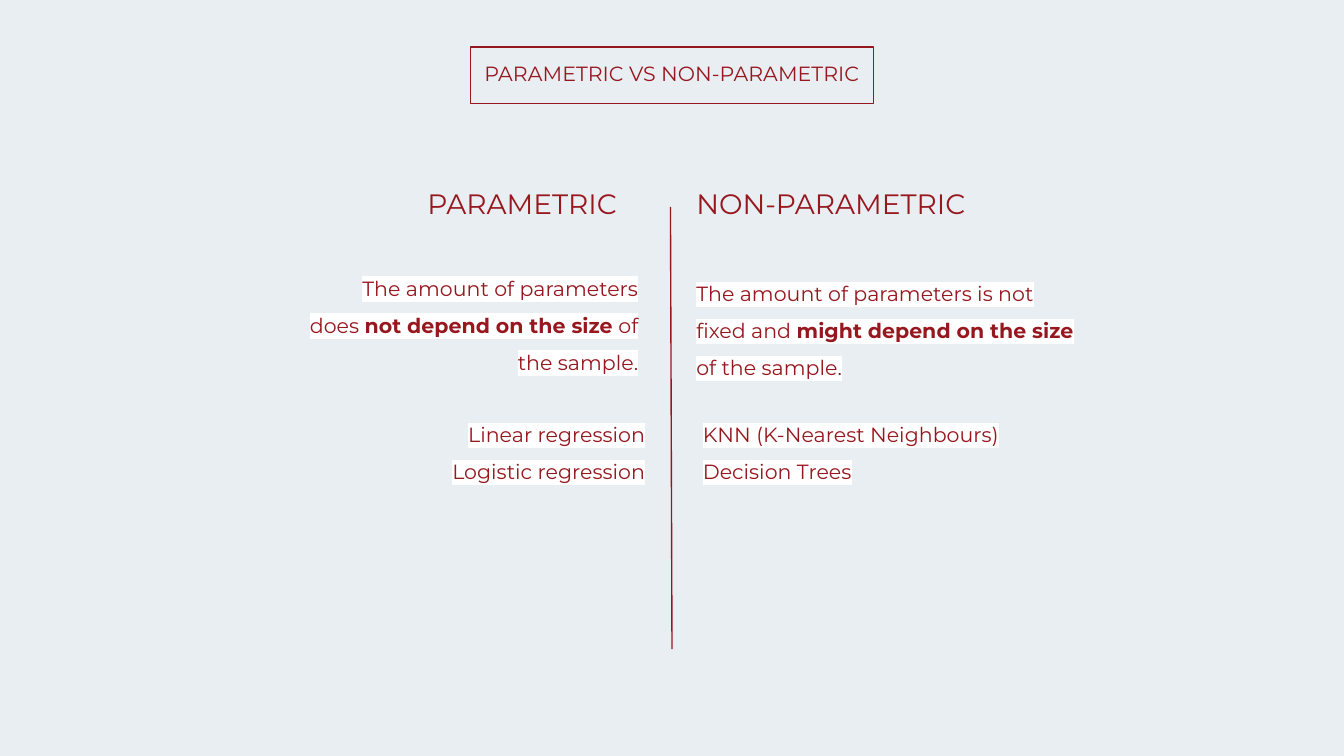
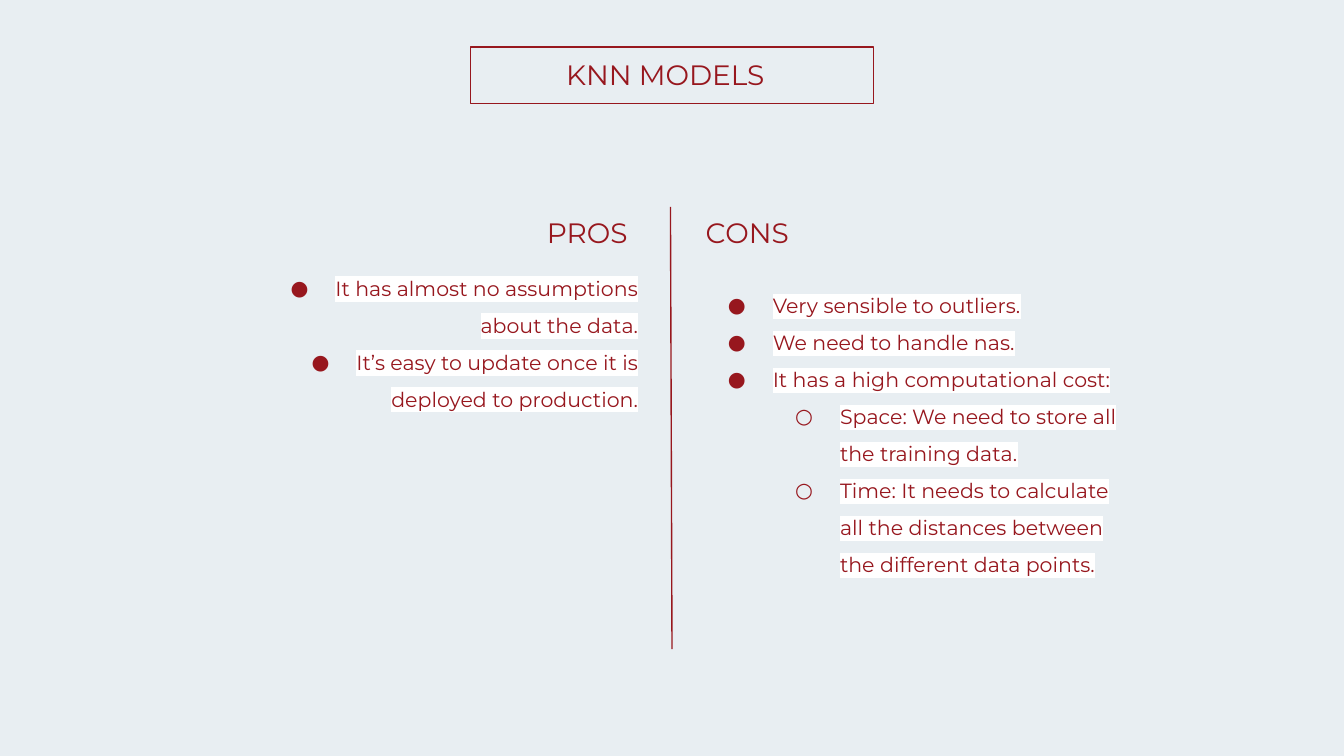
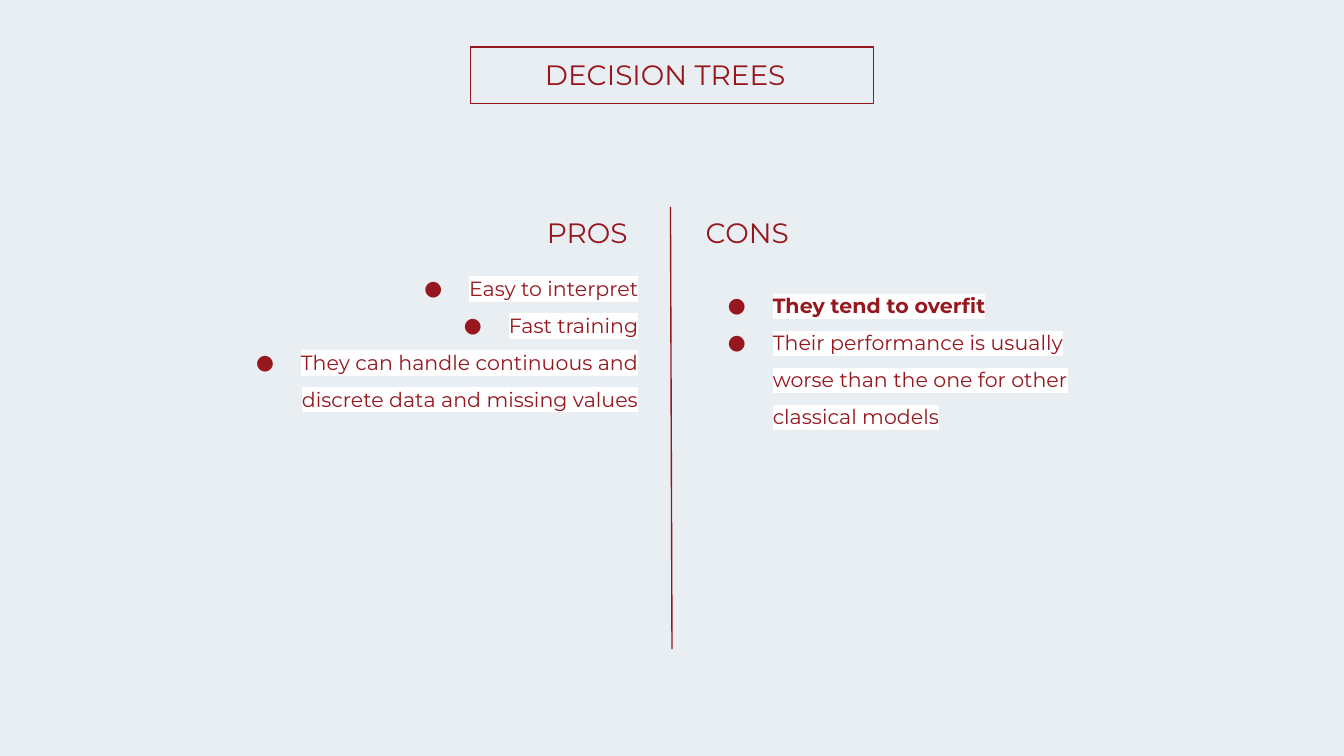
"""Build three slides that compare families of models in two columns."""
from dataclasses import dataclass

from lxml.etree import SubElement
from pptx import Presentation
from pptx.dml.color import RGBColor as Color
from pptx.enum.shapes import MSO_CONNECTOR as Connector, MSO_SHAPE as Preset
from pptx.enum.text import MSO_ANCHOR as Anchor, MSO_AUTO_SIZE as AutoSize, PP_ALIGN as Align
from pptx.oxml.ns import qn
from pptx.util import Pt


@dataclass(frozen=True)
class Theme:
    font: str = "Montserrat"
    red: str = "97171E"
    background: str = "E8EEF2"
    highlight: str = "FFFFFF"
    heading_size: int = 15
    body_size: int = 11
    line_width: float = 0.75
    inset: float = 7.2
    line_spacing: float = 1.5
    bullets: tuple = ("●", "○")
    indent: int = 36
    hanging: int = 24


@dataclass(frozen=True)
class Item:
    text: str
    level: int = 0


def apply_format(target, values):
    for name, value in values.items():
        setattr(target, name, value)


class Deck:
    def __init__(self, theme):
        self.theme = theme
        self.red = Color.from_string(theme.red)
        self.presentation = Presentation()
        apply_format(self.presentation, {"slide_width": Pt(720), "slide_height": Pt(405)})
        fill = self.presentation.slide_master.background.fill
        fill.solid()
        fill.fore_color.rgb = Color.from_string(theme.background)
        self.slide = None

    def new_slide(self, title, box, size):
        layout = self.presentation.slide_layouts.get_by_name("Comparison")
        self.slide = self.presentation.slides.add_slide(layout)
        self.frame()
        self.divider()
        self.placeholder(0, box, [Item(title)], size=size, align=Align.CENTER)

    def frame(self):
        shape = self.slide.shapes.add_shape(Preset.RECTANGLE, Pt(252), Pt(25.2), Pt(216), Pt(30.2))
        shape.shadow.inherit = False
        shape.fill.background()
        self.outline(shape.line)

    def divider(self):
        line = self.slide.shapes.add_connector(
            Connector.STRAIGHT, Pt(359.2), Pt(110.9), Pt(360), Pt(347.8))
        SubElement(line._element.spPr, qn("a:effectLst"))
        self.outline(line.line)

    def outline(self, line):
        line.color.rgb = self.red
        line.width = Pt(self.theme.line_width)

    def placeholder(self, index, box, items, **style):
        shape = self.slide.placeholders[index]
        apply_format(shape, dict(zip(("left", "top", "width", "height"), map(Pt, box))))
        self.fill_text(shape.text_frame, items, **style)

    def text_box(self, box, items, **style):
        shape = self.slide.shapes.add_textbox(*map(Pt, box))
        self.fill_text(shape.text_frame, items, **style)

    def heading(self, index, text, left, top):
        self.placeholder(index, (left, top, 371.5, 32.4), [Item(text)],
                         size=self.theme.heading_size)

    def body_style(self, align, bulleted=False):
        return {"size": self.theme.body_size, "align": align, "bulleted": bulleted,
                "spacing": self.theme.line_spacing, "highlighted": True}

    def fill_text(self, text_frame, items, size, align=Align.LEFT, spacing=1.0,
                  highlighted=False, bulleted=False):
        inset = Pt(self.theme.inset)
        apply_format(text_frame, {
            "margin_left": inset, "margin_right": inset,
            "margin_top": inset, "margin_bottom": inset, "word_wrap": True,
            "vertical_anchor": Anchor.TOP, "auto_size": AutoSize.SHAPE_TO_FIT_TEXT})
        for position, item in enumerate(items):
            paragraph = text_frame.add_paragraph() if position else text_frame.paragraphs[0]
            self.bullet(paragraph, item.level, bulleted)
            apply_format(paragraph, {"level": item.level, "alignment": align,
                                     "line_spacing": spacing, "space_before": Pt(0)})
            for part, text in enumerate(item.text.split("**")):
                if text:
                    self.run(paragraph, text, size, part % 2 == 1, highlighted)

    def bullet(self, paragraph, level, bulleted):
        properties = paragraph._p.get_or_add_pPr()
        margin = Pt(self.theme.indent * (level + 1)) if bulleted else 0
        properties.set("marL", str(margin))
        properties.set("indent", str(-Pt(self.theme.hanging) if bulleted else 0))
        if bulleted:
            color = SubElement(properties, qn("a:buClr"))
            SubElement(color, qn("a:srgbClr"), val=self.theme.red)
            SubElement(properties, qn("a:buFont"), typeface=self.theme.font)
            SubElement(properties, qn("a:buChar"), char=self.theme.bullets[level])
        else:
            SubElement(properties, qn("a:buNone"))

    def run(self, paragraph, text, size, bold, highlighted):
        run = paragraph.add_run()
        run.text = text
        apply_format(run.font, {"name": self.theme.font, "size": Pt(size), "bold": bold})
        run.font.color.rgb = self.red
        if highlighted:
            properties = run._r.get_or_add_rPr()
            mark = SubElement(properties, qn("a:highlight"))
            SubElement(mark, qn("a:srgbClr"), val=self.theme.highlight)
            properties.find(qn("a:solidFill")).addnext(mark)

    def comparison(self):
        self.new_slide("PARAMETRIC VS NON-PARAMETRIC", (229, 25.2, 262, 28), self.theme.body_size)
        right, left = self.body_style(Align.RIGHT), self.body_style(Align.LEFT)
        self.heading(1, "PARAMETRIC", 221.8, 92.9)
        self.placeholder(2, (158.4, 133.9, 190.8, 86.4), [Item(
            "The amount of parameters does **not depend on the size** of the sample.")], **right)
        self.heading(3, "NON-PARAMETRIC", 365.8, 92.9)
        self.placeholder(4, (365.8, 136.8, 223.2, 86.4), [Item(
            "The amount of parameters is not fixed and **might depend on the size**"
            " of the sample.")], **left)
        self.text_box((162, 212.4, 190.8, 67),
                      [Item("Linear regression"), Item("Logistic regression")], **right)
        self.text_box((369.4, 212.4, 190.8, 67),
                      [Item("KNN (K-Nearest Neighbours)"), Item("Decision Trees")], **left)

    def pros_and_cons(self, title, pros, cons, cons_height):
        self.new_slide(title, (225.4, 23.8, 262, 32.4), self.theme.heading_size)
        self.heading(1, "PROS", 285.8, 108)
        self.placeholder(2, (110.2, 133.9, 239, 106.6), pros, **self.body_style(Align.RIGHT, True))
        self.heading(3, "CONS", 370.8, 108)
        self.placeholder(4, (370.8, 143.3, 239, cons_height), cons,
                         **self.body_style(Align.LEFT, True))


def main():
    deck = Deck(Theme())
    deck.comparison()
    deck.pros_and_cons(
        "KNN MODELS",
        [Item("It has almost no assumptions about the data."),
         Item("It’s easy to update once it is deployed to production.")],
        [Item("Very sensible to outliers."),
         Item("We need to handle nas."),
         Item("It has a high computational cost:"),
         Item("Space: We need to store all the training data.", 1),
         Item("Time: It needs to calculate all the distances between"
              " the different data points.", 1)],
        186.5)
    deck.pros_and_cons(
        "DECISION TREES",
        [Item("Easy to interpret"),
         Item("Fast training"),
         Item("They can handle continuous and discrete data and missing values")],
        [Item("**They tend to overfit**"),
         Item("Their performance is usually worse than the one for other classical models")],
        106.6)
    deck.presentation.save("out.pptx")


if __name__ == "__main__":
    main()
